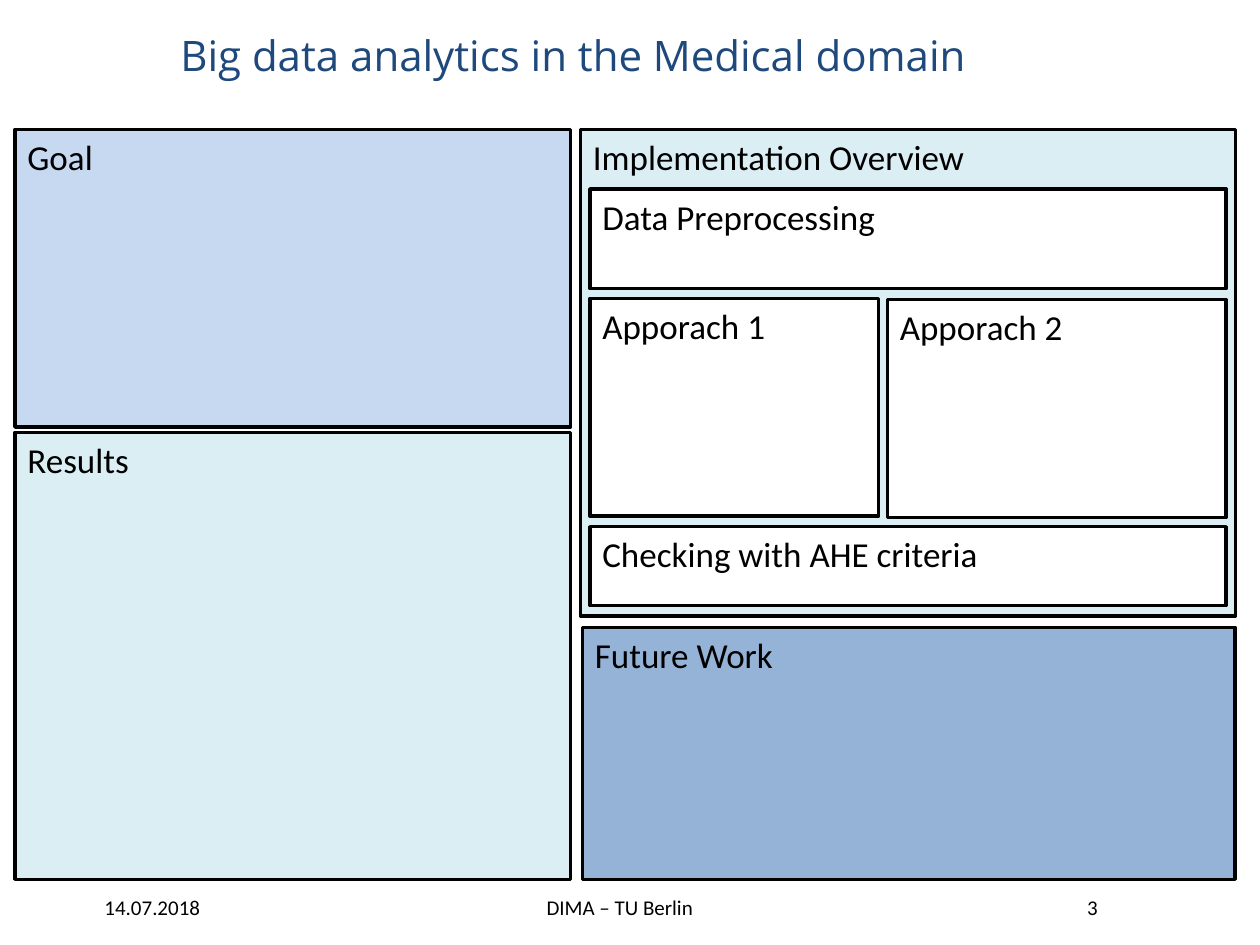
from pptx import Presentation
from pptx.dml.color import RGBColor
from pptx.enum import shapes, text
from pptx.util import Pt

BLACK = RGBColor(0x00, 0x00, 0x00)
WHITE = RGBColor(0xFF, 0xFF, 0xFF)
NAVY = RGBColor(0x1F, 0x49, 0x7D)
PALE_BLUE = RGBColor(0xC6, 0xD9, 0xF1)
PALE_TEAL = RGBColor(0xDB, 0xEE, 0xF4)
MID_BLUE = RGBColor(0x95, 0xB3, 0xD7)


def write(shape, words, size=20, font="Calibri", color=BLACK,
          align=text.PP_ALIGN.LEFT, anchor=text.MSO_ANCHOR.TOP, before=0):
    frame = shape.text_frame
    frame.word_wrap = True
    frame.vertical_anchor = anchor
    paragraph = frame.paragraphs[0]
    paragraph.alignment = align
    paragraph.space_before = Pt(before)
    run = paragraph.add_run()
    run.text = words
    run.font.size = Pt(size)
    run.font.name = font
    run.font.color.rgb = color


def add_label(slide, box, words, **style):
    label = slide.shapes.add_textbox(*map(Pt, box))
    write(label, words, anchor=text.MSO_ANCHOR.MIDDLE, **style)


def add_panel(slide, box, heading, fill):
    panel = slide.shapes.add_shape(shapes.MSO_SHAPE.RECTANGLE, *map(Pt, box))
    panel.shadow.inherit = False
    panel.fill.solid()
    panel.fill.fore_color.rgb = fill
    panel.line.color.rgb = BLACK
    panel.line.width = Pt(2)
    write(panel, heading, before=4)


def add_overview(slide, box):
    left, top, width, height = box
    add_panel(slide, box, "Implementation Overview", PALE_TEAL)
    # Processing steps, placed relative to the overview panel
    pad, gap = 5.4, 5
    inner = width - 2 * pad
    first = 165
    second_x = pad + first + gap
    steps = [
        ("Data Preprocessing", pad, 34, inner, 57),
        ("Apporach 1", pad, 96.5, first, 124.5),
        ("Apporach 2", second_x, 97.2, inner - first - gap, 124.5),
        ("Checking with AHE criteria", pad, 227, inner, 45),
    ]
    for heading, x, y, step_width, step_height in steps:
        add_panel(slide, (left + x, top + y, step_width, step_height), heading, WHITE)


def add_footer(slide, box):
    left, top, _, height = box
    for words, x, width in [("14.07.2018", 0, 106.5),
                            ("DIMA – TU Berlin", 230.4, 180),
                            ("3", 528.5, 124)]:
        add_label(slide, (left + x, top, width, height), words, size=12,
                  align=text.PP_ALIGN.CENTER)


def main():
    deck = Presentation()
    deck.slide_width, deck.slide_height = Pt(720), Pt(540)
    slide = deck.slides.add_slide(deck.slide_layouts[6])

    # Title
    add_label(slide, (96, 6, 540, 50.4), "Big data analytics in the Medical domain",
              size=24, font="Open Sans", color=NAVY)

    # Left column
    add_panel(slide, (8.6, 74, 317.5, 170), "Goal", PALE_BLUE)
    add_panel(slide, (8.6, 247, 317.5, 255.5), "Results", PALE_TEAL)

    # Right column
    add_overview(slide, (331.7, 74, 374.4, 278))
    add_panel(slide, (332.8, 358.5, 373, 144), "Future Work", MID_BLUE)

    add_footer(slide, (33.8, 507.6, 652.5, 21.6))
    deck.save("out.pptx")


if __name__ == "__main__":
    main()
